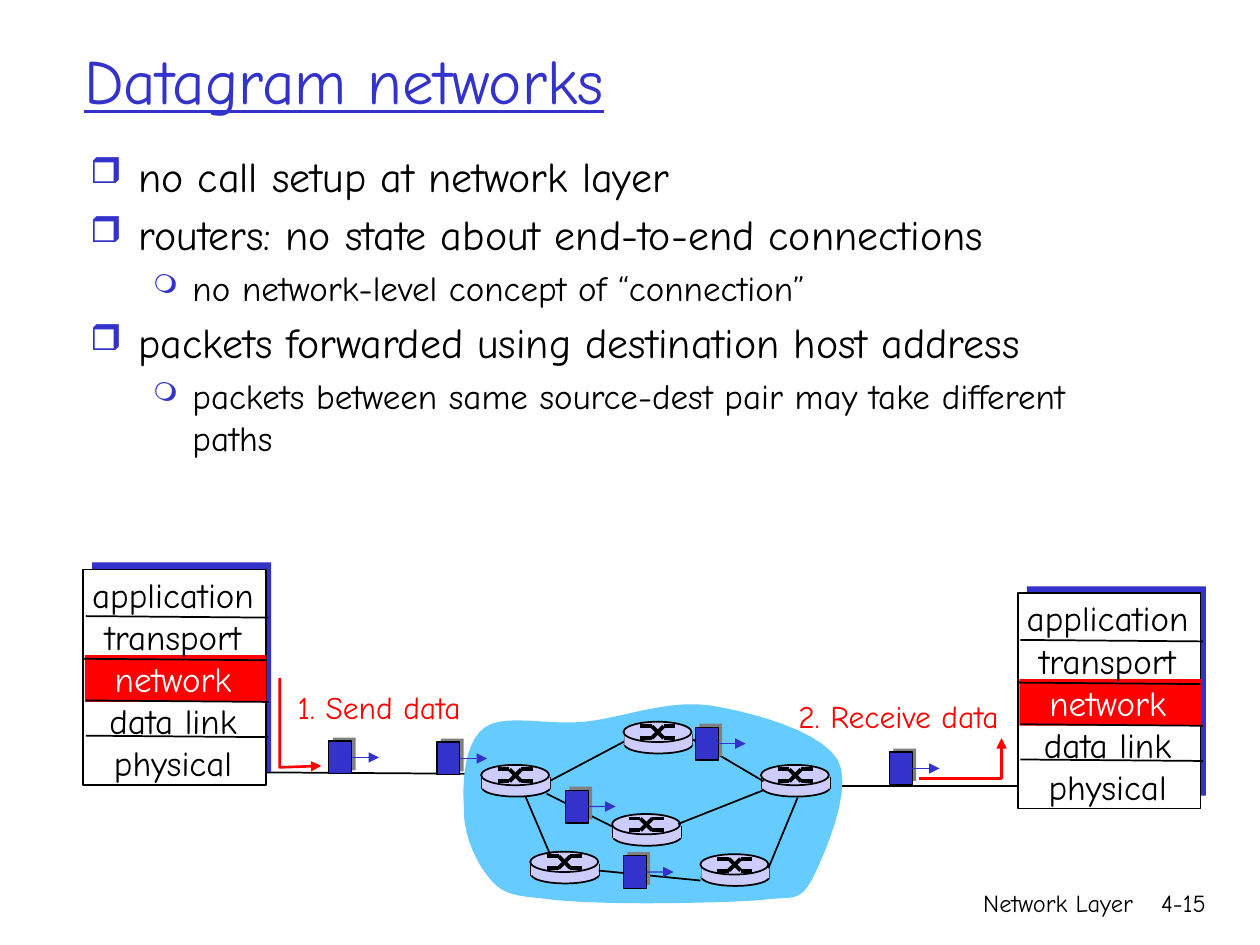
from itertools import pairwise
from lxml.etree import SubElement
from pptx import Presentation
from pptx.dml.color import RGBColor
from pptx.enum.shapes import MSO_CONNECTOR, MSO_SHAPE
from pptx.enum.text import MSO_ANCHOR, PP_ALIGN
from pptx.oxml.ns import qn
from pptx.util import Cm, Pt

FONT = "Comic Neue"
HEX = {"black": "000000", "white": "FFFFFF", "blue": "3333CC", "red": "FF0000",
       "gray": "808080", "sky": "66CCFF", "lilac": "CCCCFF"}
RGB = {name: RGBColor.from_string(code) for name, code in HEX.items()}

deck = Presentation()
deck.slide_width, deck.slide_height = Cm(25.4), Cm(19.05)
slide = deck.slides.add_slide(deck.slide_layouts[6])
shapes = slide.shapes


def box(x, y, w, h, fill, edge=None, kind=MSO_SHAPE.RECTANGLE):
    """Add a filled shape; edge is the width of its black outline."""
    item = shapes.add_shape(kind, Cm(x), Cm(y), Cm(w), Cm(h))
    item.shadow.inherit = False
    item.fill.solid()
    item.fill.fore_color.rgb = RGB[fill]
    if edge:
        item.line.color.rgb = RGB["black"]
        item.line.width = Pt(edge)
    else:
        item.line.fill.background()
    return item


def stroke(points, color="black", width=1, arrow=False):
    """Add a connector for two points, or an open outline for more."""
    spots = [(Cm(x), Cm(y)) for x, y in points]
    if len(spots) == 2:
        item = shapes.add_connector(MSO_CONNECTOR.STRAIGHT, *spots[0], *spots[1])
    else:
        pen = shapes.build_freeform(*spots[0])
        pen.add_line_segments(spots[1:], close=False)
        item = pen.convert_to_shape()
        item.fill.background()
    item.line.color.rgb = RGB[color]
    item.line.width = Pt(width)
    props = item.element.spPr
    if arrow:
        SubElement(props.find(qn("a:ln")), qn("a:tailEnd"), type="triangle")
    SubElement(props, qn("a:effectLst"))
    return item


# Links from the hosts to the network
stroke([(5.33, 15.57), (9.73, 15.6)])
stroke([(20.57, 15.85), (16.69, 15.85)])

# Protocol stacks of the two hosts
stacks = [(1.68, 11.48), (20.52, 11.96)]
for x, y in stacks:
    box(x + 0.18, y - 0.14, 3.61, 4.22, "blue")
    box(x, y, 3.68, 4.34, "white", 1)
    box(x + 0.03, y + 1.73, 3.66, 0.94, "red")
    for dx, dy in [(0.05, 0.94), (0, 1.8), (0.05, 2.64), (0.05, 3.35)]:
        stroke([(x + dx, y + dy), (x + dx + 3.68, y + dy + 0.03)])

# Send and receive arrows
stroke([(5.64, 13.67), (5.64, 15.47), (6.48, 15.44)], "red", 1.5, True)
stroke([(18.52, 15.7), (20.19, 15.7), (20.19, 14.88)], "red", 1.5, True)

# Network cloud: each row holds two control points and an end point
start = (9.35, 16.23)
curves = [
    ((9.32, 15.72), (9.37, 14.94), (9.78, 14.66)),
    ((10.19, 14.38), (11.02, 14.63), (11.79, 14.55)),
    ((12.52, 14.48), (13.44, 14.1), (14.3, 14.22)),
    ((15.14, 14.35), (16.54, 14.73), (16.89, 15.32)),
    ((17.22, 15.9), (16.59, 17.3), (16.36, 17.75)),
    ((16.1, 18.21), (15.95, 18.06), (15.39, 18.14)),
    ((14.83, 18.19), (13.72, 18.21), (13.03, 18.21)),
    ((12.32, 18.21), (11.66, 18.19), (11.15, 18.14)),
    ((10.62, 18.06), (10.24, 18.11), (9.93, 17.78)),
    ((9.65, 17.48), (9.32, 16.87), start),
]
rim = [start]
for one, two, end in curves:
    first = rim[-1]
    for step in range(1, 11):
        t = step / 10
        u = 1 - t
        rim.append(tuple(u**3 * a + 3 * u * u * t * b + 3 * u * t * t * c + t**3 * d
                         for a, b, c, d in zip(first, one, two, end)))
pen = shapes.build_freeform(Cm(start[0]), Cm(start[1]))
pen.add_line_segments([(Cm(x), Cm(y)) for x, y in rim[1:]], close=True)
cloud = pen.convert_to_shape()
cloud.shadow.inherit = False
cloud.fill.solid()
cloud.fill.fore_color.rgb = RGB["sky"]
cloud.line.fill.background()

# Routers
stroke([(11.07, 15.75), (12.6, 14.94)])
routers = [(9.7, 15.42), (10.69, 17.17), (12.57, 14.55),
           (12.34, 16.41), (14.12, 17.22), (15.34, 15.42)]
for x, y in routers:
    box(x + 0.02, y + 0.28, 1.37, 0.36, "lilac", 1, MSO_SHAPE.OVAL)
    for side in (x + 0.02, x + 1.39):
        stroke([(side, y + 0.25), (side, y + 0.48)])
    box(x + 0.02, y + 0.25, 1.37, 0.23, "lilac")
    box(x, y, 1.37, 0.41, "lilac", 1, MSO_SHAPE.OVAL)
    for near, far in [(0.09, 0.33), (0.33, 0.09)]:
        cross = [(0.34, near), (0.57, near), (0.81, far), (1.04, far)]
        for pair in pairwise(cross):
            stroke([(x + dx, y + dy) for dx, dy in pair], width=2.25)

# Links between routers
for link in [
    ((13.97, 14.91), (15.39, 15.75)),
    ((11.02, 16), (12.34, 16.66)),
    ((13.67, 16.61), (15.39, 15.93)),
    ((15.49, 17.5), (16.08, 16.08)),
    ((14.12, 17.75), (12.07, 17.55)),
    ((11.1, 17.25), (10.59, 16.05)),
]:
    stroke(link)

# Packets on the move
for x, y in [(6.63, 14.94), (8.81, 14.96), (14.02, 14.66),
             (12.57, 17.25), (11.4, 15.93), (17.93, 15.16)]:
    box(x + 0.08, y - 0.07, 0.46, 0.66, "gray")
    packet = box(x, y, 0.46, 0.66, "blue", 0.75)
    arrow = stroke([(x + 0.46, y + 0.33), (x + 1.01, y + 0.33)], "blue", 0.75, True)
    arrow.begin_connect(packet, 3)

# Text: place, alignment, wrapping, size, then lines with colours
left, mid, right = PP_ALIGN.LEFT, PP_ALIGN.CENTER, PP_ALIGN.RIGHT
layers = [("application", "black"), ("transport", "black"), ("network", "white"),
          ("data link", "black"), ("physical", "black")]
labels = [
    ((1.45, 0, 21.59, 3.18), left, True, 36, [("Datagram networks", "blue")]),
    ((15.04, 17.78, 8.05, 1.27), right, True, 14, [("Network Layer", "black")]),
    ((22.68, 17.78, 1.88, 1.27), right, True, 14, [("4-15", "black")]),
    ((5.56, 13.74, 4.17, 1.02), mid, False, 18, [("1. Send data", "red")]),
    ((15.6, 13.92, 5.03, 1.02), mid, False, 18, [("2. Receive data", "red")]),
]
labels += [((x - 0.36, y - 0.05, 4.34, 4.5), mid, True, 20, layers) for x, y in stacks]
for place, align, wrap, size, lines in labels:
    frame = shapes.add_textbox(*map(Cm, place)).text_frame
    frame.word_wrap = wrap
    frame.text = "\n".join(line for line, color in lines)
    for para, (line, color) in zip(frame.paragraphs, lines):
        para.alignment = align
        font = para.runs[0].font
        font.name, font.size, font.color.rgb = FONT, Pt(size), RGB[color]
        if size == 36:
            font.underline = True
            frame.vertical_anchor = MSO_ANCHOR.MIDDLE

# Bullet list
points = [
    (0, "no call setup at network layer"),
    (0, "routers: no state about end-to-end connections"),
    (1, "no network-level concept of “connection”"),
    (0, "packets forwarded using destination host address"),
    (1, "packets between same source-dest pair may take different paths"),
]
# Per level: text size, left margin, hanging indent, bullet, bullet size
levels = [(24, 0.97, 0.97, "❒", 85), (20, 2.06, 0.79, "❍", 75)]
frame = shapes.add_textbox(Cm(1.57), Cm(2.9), Cm(21.62), Cm(6.32)).text_frame
frame.word_wrap = True
frame.text = "\n".join(text for level, text in points)
for i, (para, (level, text)) in enumerate(zip(frame.paragraphs, points)):
    size, margin, hang, mark, scale = levels[level]
    para.level = level
    props = para._p.get_or_add_pPr()
    props.set("marL", str(Cm(margin)))
    props.set("indent", str(-Cm(hang)))
    tint = SubElement(props, qn("a:buClr"))
    SubElement(tint, qn("a:srgbClr"), val=HEX["blue"])
    SubElement(props, qn("a:buSzPct"), val=str(scale * 1000))
    SubElement(props, qn("a:buChar"), char=mark)
    para.space_before = Pt(size * 0.2 if i else 0)
    font = para.runs[0].font
    font.name, font.size, font.color.rgb = FONT, Pt(size), RGB["black"]

deck.save("out.pptx")
